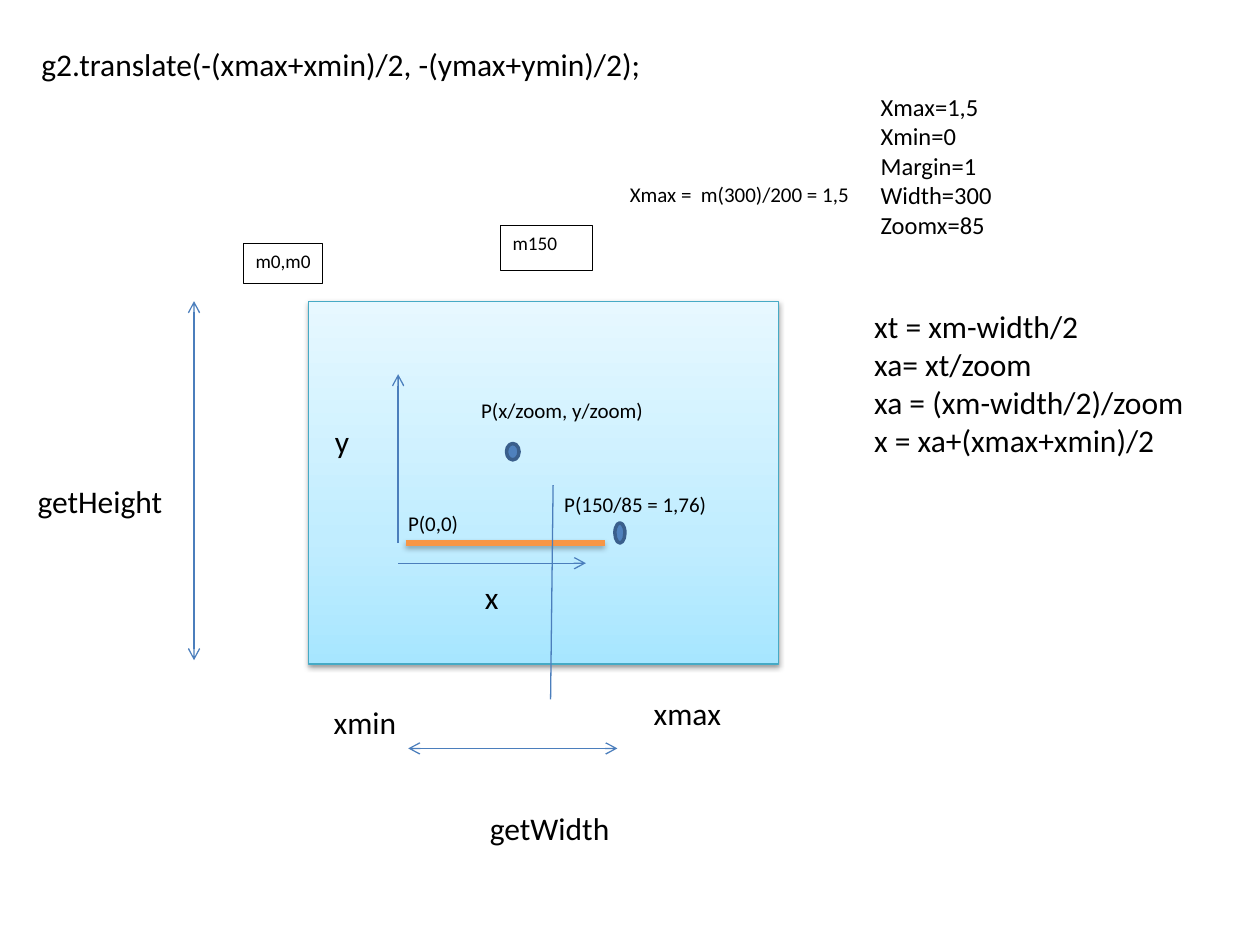
from lxml.etree import SubElement
from pptx import Presentation
from pptx.dml.color import RGBColor
from pptx.enum.shapes import MSO_CONNECTOR, MSO_SHAPE
from pptx.enum.text import MSO_ANCHOR, PP_ALIGN
from pptx.oxml.ns import qn
from pptx.util import Inches, Pt

COLORS = {
    "ink": "000000", "paper": "FFFFFF", "axis": "4B7EBC", "range": "F79646",
    "dot": "4F81BD", "dot edge": "3A5F8C", "panel edge": "46AAC5",
}
PANEL_STOPS = [(0, "A7E6FF"), (35, "C1EDFF"), (100, "E7F8FF")]
FONT = "Calibri"

# Every place is given in cells of a grid of 100 columns by 75 rows.
COLUMNS, ROWS = 100, 75
CELL = Inches(10) // COLUMNS

PANEL = (24.5, 23.9, 37.3, 28.8)
CORNERS = [("m0,m0", (19.3, 19.3, 6.3, 3.2)), ("m150", (39.7, 17.9, 7.3, 3.6))]
POINTS = [(48.8, 41.5, 0.8, 1.6), (40.2, 35.2, 1, 1.3)]

# start, end, arrow at start, arrow at end
AXES = [
    ((31.6, 44.7), (46.5, 44.7), False, True),
    ((31.6, 43.1), (31.6, 29.7), False, True),
    ((32.4, 59.4), (49, 59.4), True, True),
    ((15.4, 23.9), (15.4, 52.4), True, True),
]
RANGE = ((32.2, 43.1), (48, 43.1))
DIVIDER = ((43.9, 38.5), (43.7, 55.5))

# size: [(paragraphs, place, wrap)]
LABELS = {
    18: [
        (["x"], (37.5, 45.4, 3.1, 4), False),
        (["y"], (25.6, 33, 3.2, 4), False),
        (["getWidth"], (37.9, 63.7, 11.6, 4), False),
        (["getHeight"], (2, 37.8, 12, 4), False),
        (["xmax"], (50.9, 54.6, 7.4, 4), False),
        (["xmin"], (25.5, 55.3, 7, 4), False),
        (["xt = xm-width/2", "xa= xt/zoom", "xa = (xm-width/2)/zoom",
          "x = xa+(xmax+xmin)/2"], (68.4, 23.9, 29.6, 13.1), True),
        (["g2.translate(-(xmax+xmin)/2, -(ymax+ymin)/2);"],
         (2.3, 3.1, 74.7, 4), True),
    ],
    14: [
        (["Xmax=1,5", "Xmin=0", "Margin=1", "Width=300", "Zoomx=85"],
         (68.9, 6.8, 20.5, 18.8), True),
    ],
    12: [
        (["Xmax =  m(300)/200 = 1,5"], (49, 13.9, 19.6, 3), True),
        (["P(0,0)"], (31.4, 40, 6.6, 3.1), True),
        (["P(150/85 = 1,76)"], (43.8, 38.5, 15.3, 3), True),
        (["P(x/zoom, y/zoom)"], (37.2, 31.1, 17.1, 3), True),
    ],
}


def rgb(name):
    return RGBColor.from_string(COLORS[name])


def cells(*values):
    return [round(value * CELL) for value in values]


def add_effects(shape, shadow_alpha=None):
    """Replace the theme's effects with none, or with a soft shadow below."""
    effects = SubElement(shape._element.spPr, qn("a:effectLst"))
    if shadow_alpha:
        shadow = SubElement(effects, qn("a:outerShdw"), blurRad="40000",
                            dist="20000", dir="5400000", rotWithShape="0")
        black = SubElement(shadow, qn("a:srgbClr"), val=COLORS["ink"])
        SubElement(black, qn("a:alpha"), val=str(shadow_alpha * 1000))


def add_solid(shapes, preset, place, fill, edge, width):
    shape = shapes.add_shape(preset, *cells(*place))
    shape.fill.solid()
    shape.fill.fore_color.rgb = rgb(fill)
    shape.line.color.rgb = rgb(edge)
    shape.line.width = Pt(width)
    shape.shadow.inherit = False
    return shape


def add_panel(shapes):
    panel = shapes.add_shape(MSO_SHAPE.RECTANGLE, *cells(*PANEL))
    panel.fill.gradient()
    panel.fill.gradient_angle = 90
    stops = panel._element.spPr.find(".//" + qn("a:gsLst"))
    stops.clear()
    for position, color in PANEL_STOPS:
        stop = SubElement(stops, qn("a:gs"), pos=str(position * 1000))
        SubElement(stop, qn("a:srgbClr"), val=color)
    panel.line.color.rgb = rgb("panel edge")
    panel.line.width = Pt(0.75)
    add_effects(panel, shadow_alpha=38)


def add_line(shapes, start, end, head=False, tail=False, color="axis",
             width=0.75, shadow_alpha=None):
    line = shapes.add_connector(MSO_CONNECTOR.STRAIGHT, *cells(*start, *end))
    line.line.color.rgb = rgb(color)
    line.line.width = Pt(width)
    for wanted, tag in ((head, "a:headEnd"), (tail, "a:tailEnd")):
        if wanted:
            SubElement(line.line._get_or_add_ln(), qn(tag), type="arrow")
    add_effects(line, shadow_alpha)


def write(shape, paragraphs, size, wrap):
    frame = shape.text_frame
    frame.word_wrap = wrap
    frame.vertical_anchor = MSO_ANCHOR.TOP
    frame.text = "\n".join(paragraphs)
    for paragraph in frame.paragraphs:
        paragraph.alignment = PP_ALIGN.LEFT
        paragraph.font.name = FONT
        paragraph.font.size = Pt(size)
        paragraph.font.color.rgb = rgb("ink")


def main():
    deck = Presentation()
    deck.slide_width, deck.slide_height = COLUMNS * CELL, ROWS * CELL
    shapes = deck.slides.add_slide(deck.slide_layouts[6]).shapes

    add_panel(shapes)
    for text, place in CORNERS:
        corner = add_solid(shapes, MSO_SHAPE.RECTANGLE, place,
                           "paper", "ink", 0.5)
        write(corner, [text], 11, False)
    for axis in AXES:
        add_line(shapes, *axis)
    for place in POINTS:
        add_solid(shapes, MSO_SHAPE.OVAL, place, "dot", "dot edge", 2)
    for size, labels in LABELS.items():
        for paragraphs, place, wrap in labels:
            write(shapes.add_textbox(*cells(*place)), paragraphs, size, wrap)
    add_line(shapes, *RANGE, color="range", width=3, shadow_alpha=35)
    add_line(shapes, *DIVIDER)

    deck.save("out.pptx")


if __name__ == "__main__":
    main()
